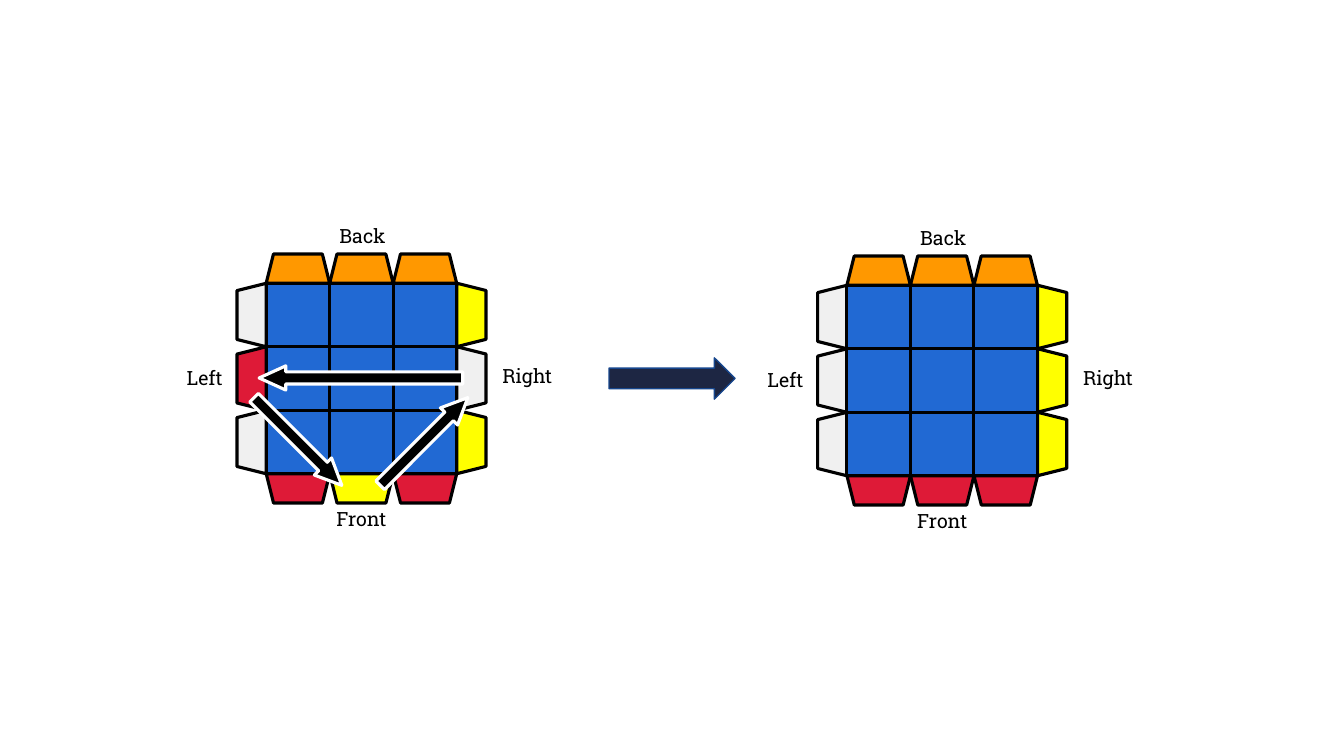
from pptx import Presentation
from pptx.dml.color import RGBColor
from pptx.enum.shapes import MSO_SHAPE as Shape
from pptx.enum.text import MSO_AUTO_SIZE as AutoSize, PP_ALIGN as Align
from pptx.util import Inches, Pt

BLUE, ORANGE, RED = "2169D3", "FF9800", "DE1A37"
YELLOW, WHITE, BLACK = "FFFF00", "F0F0F0", "000000"
CELL, DEPTH = 0.63, 0.29
FACE = 3 * CELL


def color(value):
    return RGBColor.from_string(value)


def add_figure(shapes, kind, left, top, width, height, fill, line=BLACK, weight=2.25, rotation=0):
    shape = shapes.add_shape(kind, Inches(left), Inches(top), Inches(width), Inches(height))
    shape.shadow.inherit = False
    shape.fill.solid()
    shape.fill.fore_color.rgb = color(fill)
    shape.line.color.rgb = color(line)
    shape.line.width = Pt(weight)
    shape.rotation = rotation
    return shape


presentation = Presentation()
presentation.slide_width = Inches(13.33)
presentation.slide_height = Inches(7.5)
slide = presentation.slides.add_slide(presentation.slide_layouts[6])

cubes = [
    (8.4, 2.83, [WHITE] * 3, [YELLOW] * 3, [RED] * 3),
    (2.64, 2.81, [WHITE, RED, WHITE], [YELLOW, WHITE, YELLOW], [RED, YELLOW, RED]),
]
labels = [
    ("Front", 0.54, 2.17, 0.81),
    ("Left", -0.93, 0.77, 0.64),
    ("Right", 2.18, 0.75, 0.82),
    ("Back", 0.56, -0.64, 0.79),
]
side_shift = (CELL - DEPTH) / 2

for cube_left, cube_top, left_colors, right_colors, front_colors in cubes:
    cube = slide.shapes.add_group_shape().shapes

    for index in range(3):
        along = index * CELL
        stickers = [
            (along, -DEPTH, 0, ORANGE),
            (-DEPTH - side_shift, along + side_shift, 270, left_colors[index]),
            (FACE - side_shift, along + side_shift, 90, right_colors[index]),
            (along, FACE, 180, front_colors[index]),
        ]
        for x, y, rotation, fill in stickers:
            add_figure(cube, Shape.TRAPEZOID, cube_left + x, cube_top + y,
                       CELL, DEPTH, fill, rotation=rotation)

    for row in range(3):
        for column in range(3):
            add_figure(cube, Shape.RECTANGLE, cube_left + column * CELL,
                       cube_top + row * CELL, CELL, CELL, BLUE)

    for text, x, y, width in labels:
        label = cube.add_textbox(Inches(cube_left + x), Inches(cube_top + y),
                                 Inches(width), Inches(0.34))
        frame = label.text_frame
        frame.word_wrap = False
        frame.auto_size = AutoSize.SHAPE_TO_FIT_TEXT
        paragraph = frame.paragraphs[0]
        paragraph.alignment = Align.CENTER
        run = paragraph.add_run()
        run.text = text
        run.font.name = "Roboto Slab"
        run.font.size = Pt(14)
        run.font.color.rgb = color(BLACK)

add_figure(slide.shapes, Shape.RIGHT_ARROW, 6.04, 3.55, 1.25, 0.41, "1D2643", "16468D", 1)

swaps = [(3.59, 4.26, 1.23, 135), (2.34, 4.26, 1.23, 225), (2.57, 3.63, 2.02, 0)]
for left, top, width, rotation in swaps:
    arrow = add_figure(slide.shapes, Shape.LEFT_ARROW, left, top, width, 0.24,
                       BLACK, "FFFFFF", rotation=rotation)
    arrow.adjustments[0] = 0.5
    arrow.adjustments[1] = 1.1

presentation.save("out.pptx")
